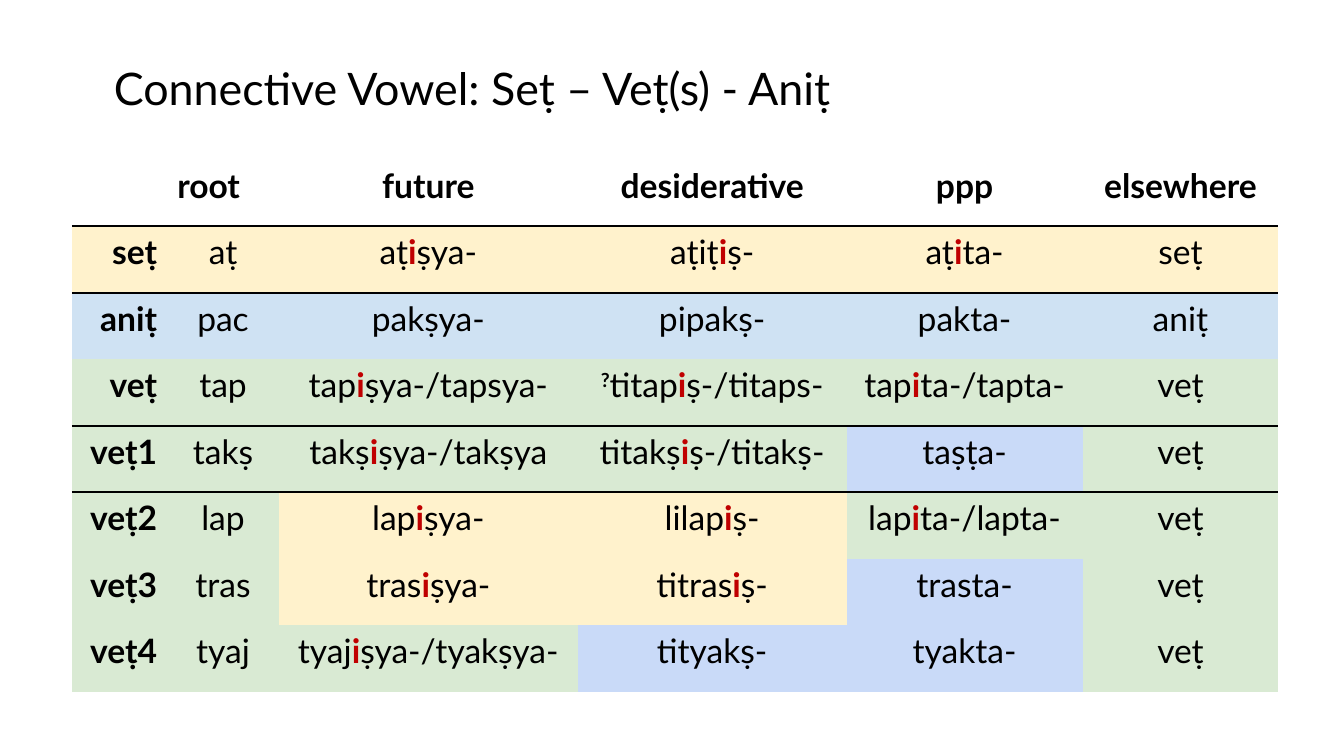
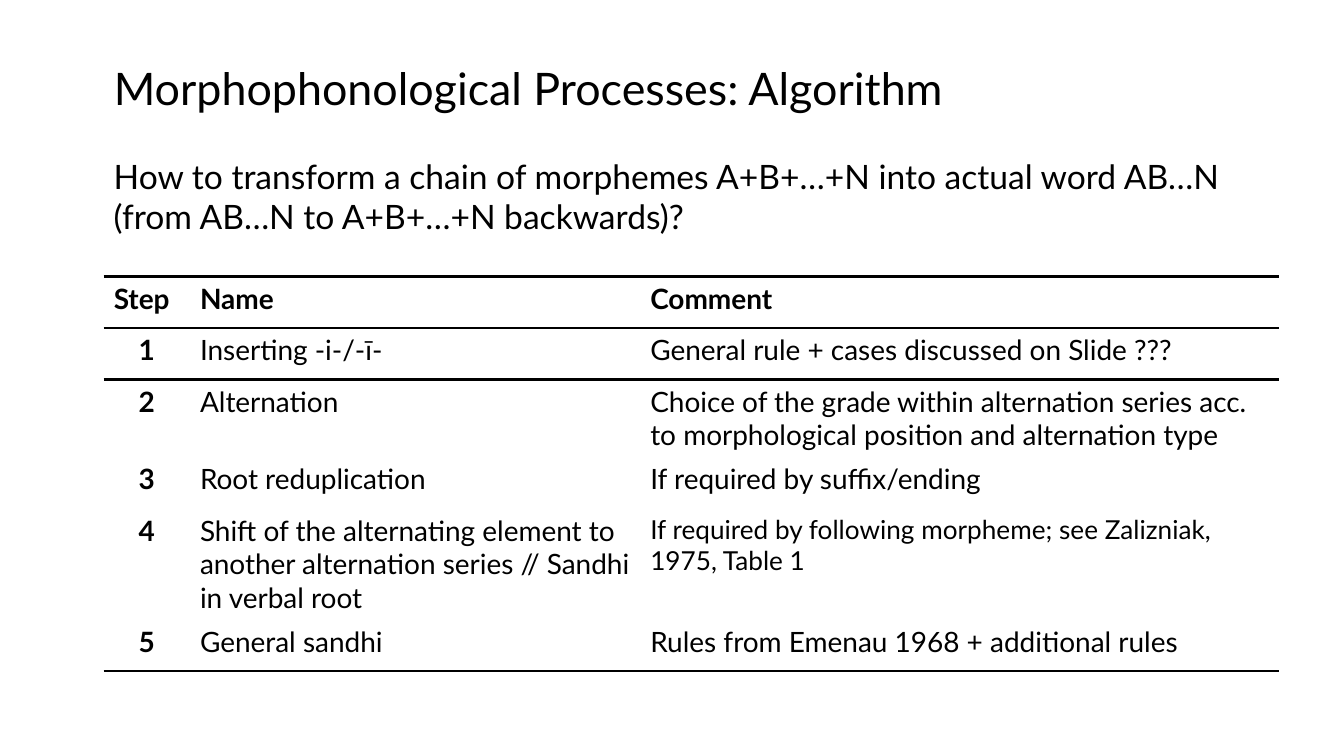
from dataclasses import dataclass

from lxml import etree
from pptx import Presentation
from pptx.dml.color import RGBColor
from pptx.enum.text import MSO_ANCHOR, MSO_AUTO_SIZE, PP_ALIGN as Align
from pptx.oxml.ns import qn
from pptx.util import Cm, Pt

FONT = "Lato"
INK = "000000"
VOWEL_RED = "C00000"
FILLS = {"s": "FFF2CC", "a": "CFE2F3", "v": "D9EAD3", "x": "C9DAF8"}
NO_GRID_STYLE = "{2D5ABB26-0587-4C30-8999-92F81FD0307C}"
INSET_X, INSET_Y = 0.19, 0.1
MARGIN_LEFT = 1.96

CLASS_HEADINGS = ["", "root", "future", "desiderative", "ppp", "elsewhere"]
CLASS_WIDTHS = [1.8, 2.11, 5.65, 5.08, 4.46, 3.7]
CLASS_ROWS = [
    ("ssssss", ["seṭ", "aṭ", "aṭ|i|ṣya-", "aṭiṭ|i|ṣ-", "aṭ|i|ta-", "seṭ"]),
    ("aaaaaa", ["aniṭ", "pac", "pakṣya-", "pipakṣ-", "pakta-", "aniṭ"]),
    ("vvvvvv", ["veṭ", "tap", "tap|i|ṣya-/tapsya-", "?titap|i|ṣ-/titaps-",
                "tap|i|ta-/tapta-", "veṭ"]),
    ("vvvvxv", ["veṭ1", "takṣ", "takṣ|i|ṣya-/takṣya", "titakṣ|i|ṣ-/titakṣ-",
                "taṣṭa-", "veṭ"]),
    ("vvssvv", ["veṭ2", "lap", "lap|i|ṣya-", "lilap|i|ṣ-",
                "lap|i|ta-/lapta-", "veṭ"]),
    ("vvssxv", ["veṭ3", "tras", "tras|i|ṣya-", "titras|i|ṣ-", "trasta-", "veṭ"]),
    ("vvvxxv", ["veṭ4", "tyaj", "tyaj|i|ṣya-/tyakṣya-", "tityakṣ-",
                "tyakta-", "veṭ"]),
]

STEP_HEADINGS = ["Step", "Name", "Comment"]
STEP_WIDTHS = [1.63, 8.51, 12.07]
STEPS = [
    ("Inserting -i-/-ī-", "General rule + cases discussed on Slide ???", 15),
    ("Alternation",
     "Choice of the grade within alternation series acc. to morphological "
     "position and alternation type", 15),
    ("Root reduplication", "If required by suffix/ending", 15),
    ("Shift of the alternating element to another alternation series // "
     "Sandhi in verbal root",
     "If required by following morpheme; see Zalizniak, 1975, Table 1", 14),
    ("General sandhi", "Rules from Emenau 1968 + additional rules", 15),
]


@dataclass
class Box:
    """A region of a slide, in centimetres."""
    left: float
    top: float
    width: float
    height: float

    def lengths(self):
        """Return the four sides as lengths."""
        return [Cm(side) for side in (self.left, self.top, self.width, self.height)]


def colour(hex_code):
    """Turn a hex string into a colour."""
    return RGBColor.from_string(hex_code)


def add_run(paragraph, text, size, bold=False, ink=INK):
    """Append one formatted run to a paragraph."""
    run = paragraph.add_run()
    run.text = text
    run.font.name = FONT
    run.font.size = Pt(size)
    run.font.bold = bold
    run.font.color.rgb = colour(ink)
    return run


def add_form(paragraph, form, size):
    """Write a word form with red connective vowels and a raised query mark."""
    if form.startswith("?"):
        query = add_run(paragraph, "?", size, bold=True)
        query.font._element.set("baseline", "30000")
        form = form[1:]
    for index, part in enumerate(form.split("|")):
        is_vowel = index % 2 == 1
        add_run(paragraph, part, size, is_vowel, VOWEL_RED if is_vowel else INK)


def set_insets(target):
    """Give a cell or text frame the common margins."""
    target.margin_left = target.margin_right = Cm(INSET_X)
    target.margin_top = target.margin_bottom = Cm(INSET_Y)


def fill_text(shape, box, text, size):
    """Place a text shape in its box and write its single paragraph."""
    shape.left, shape.top, shape.width, shape.height = box.lengths()
    frame = shape.text_frame
    frame.word_wrap = True
    frame.auto_size = MSO_AUTO_SIZE.NONE
    frame.vertical_anchor = MSO_ANCHOR.TOP
    set_insets(frame)
    paragraph = frame.paragraphs[0]
    paragraph.alignment = Align.LEFT
    add_run(paragraph, text, size)


def add_titled_slide(deck, title):
    """Add a slide with the shared title style."""
    slide = deck.slides.add_slide(deck.slide_layouts[5])
    fill_text(slide.shapes.title, Box(MARGIN_LEFT, 1.04, 22.22, 1.22), title, 24)
    return slide


def add_plain_table(slide, box, widths, row_count):
    """Add a table without style, grid or fills."""
    frame = slide.shapes.add_table(row_count, len(widths), *box.lengths())
    table = frame.table
    table.first_row = table.horz_banding = False
    table._tbl.tblPr.find(qn("a:tableStyleId")).text = NO_GRID_STYLE
    for column, width in zip(table.columns, widths):
        column.width = Cm(width)
    for row in table.rows:
        row.height = Cm(box.height / row_count)
    for cell in table.iter_cells():
        set_insets(cell)
        cell.vertical_anchor = MSO_ANCHOR.TOP
        cell.fill.background()
    return table


def add_border(cell, side, points):
    """Draw a black line on the top (T) or bottom (B) of a cell."""
    properties = cell._tc.get_or_add_tcPr()
    line = etree.Element(qn(f"a:ln{side}"), w=str(Pt(points)))
    fill = etree.SubElement(line, qn("a:solidFill"))
    etree.SubElement(fill, qn("a:srgbClr"), val=INK)
    properties.insert(len(properties.findall(qn("a:lnT"))), line)


def rule_below(table, row, points=1.5):
    """Draw a line under a row, shared with the row that follows."""
    for column in range(len(table.columns)):
        if row + 1 < len(table.rows):
            add_border(table.cell(row + 1, column), "T", points)
        add_border(table.cell(row, column), "B", points)


def aligned_paragraph(cell, alignment):
    """Return the paragraph of a cell with its alignment set."""
    paragraph = cell.text_frame.paragraphs[0]
    paragraph.alignment = alignment
    return paragraph


def add_class_table(slide, box):
    """Show the verb classes with their forms."""
    table = add_plain_table(slide, box, CLASS_WIDTHS, len(CLASS_ROWS) + 1)
    for column, heading in enumerate(CLASS_HEADINGS):
        if heading:
            alignment = Align.LEFT if column == 1 else Align.CENTER
            paragraph = aligned_paragraph(table.cell(0, column), alignment)
            add_run(paragraph, heading, 18, bold=True)
    for row, (fills, forms) in enumerate(CLASS_ROWS, 1):
        for column, (key, form) in enumerate(zip(fills, forms)):
            cell = table.cell(row, column)
            cell.fill.solid()
            cell.fill.fore_color.rgb = colour(FILLS[key])
            if column == 0:
                add_run(aligned_paragraph(cell, Align.RIGHT), form, 18, bold=True)
            else:
                add_form(aligned_paragraph(cell, Align.CENTER), form, 18)
    for row in (0, 3):
        rule_below(table, row)


def add_step_table(slide, box):
    """List the steps of the algorithm."""
    table = add_plain_table(slide, box, STEP_WIDTHS, len(STEPS) + 1)
    for column, heading in enumerate(STEP_HEADINGS):
        add_run(aligned_paragraph(table.cell(0, column), Align.LEFT), heading, 15, bold=True)
        add_border(table.cell(0, column), "T", 1.5)
    for row, (name, comment, comment_size) in enumerate(STEPS, 1):
        number = aligned_paragraph(table.cell(row, 0), Align.CENTER)
        add_run(number, str(row), 15, bold=True)
        add_run(aligned_paragraph(table.cell(row, 1), Align.LEFT), name, 15)
        add_run(aligned_paragraph(table.cell(row, 2), Align.LEFT), comment, comment_size)
    rule_below(table, 0)
    rule_below(table, len(STEPS), 1)


def add_vowel_slide(deck):
    """Build the slide on the connective vowel."""
    slide = add_titled_slide(deck, "Connective Vowel: Seṭ – Veṭ(s) - Aniṭ")
    add_class_table(slide, Box(1.36, 3.02, sum(CLASS_WIDTHS), 10.06))


def add_algorithm_slide(deck):
    """Build the slide on the algorithm."""
    slide = add_titled_slide(deck, "Morphophonological Processes: Algorithm")
    question_box = Box(MARGIN_LEFT, 2.84, 21.9, 2.08)
    question = slide.shapes.add_textbox(*question_box.lengths())
    fill_text(question, question_box,
              "How to transform a chain of morphemes A+B+…+N into actual word "
              "AB…N (from AB…N to A+B+…+N backwards)?", 18)
    add_step_table(slide, Box(MARGIN_LEFT, 5.23, sum(STEP_WIDTHS), 5.82))


def main():
    """Build and save the presentation."""
    deck = Presentation()
    deck.slide_width, deck.slide_height = Cm(25.4), Cm(14.29)
    add_vowel_slide(deck)
    add_algorithm_slide(deck)
    deck.save("out.pptx")


if __name__ == "__main__":
    main()
